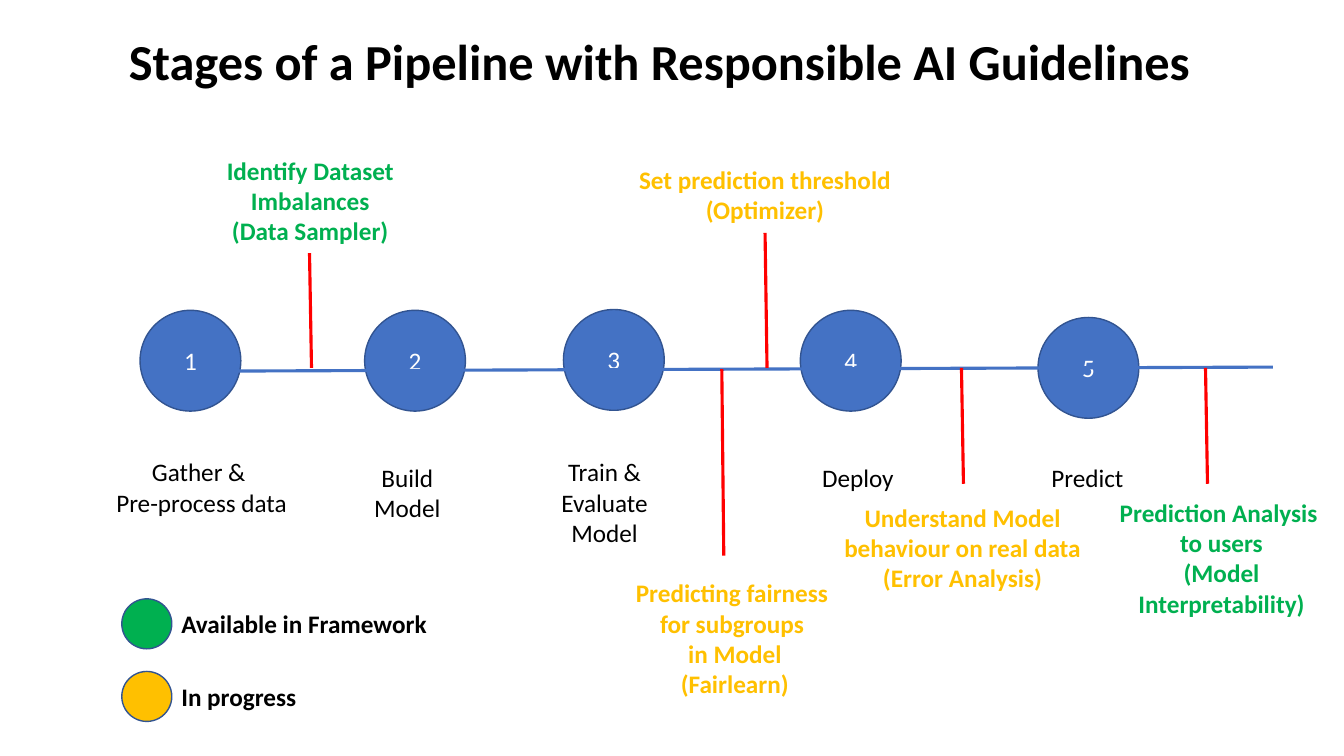
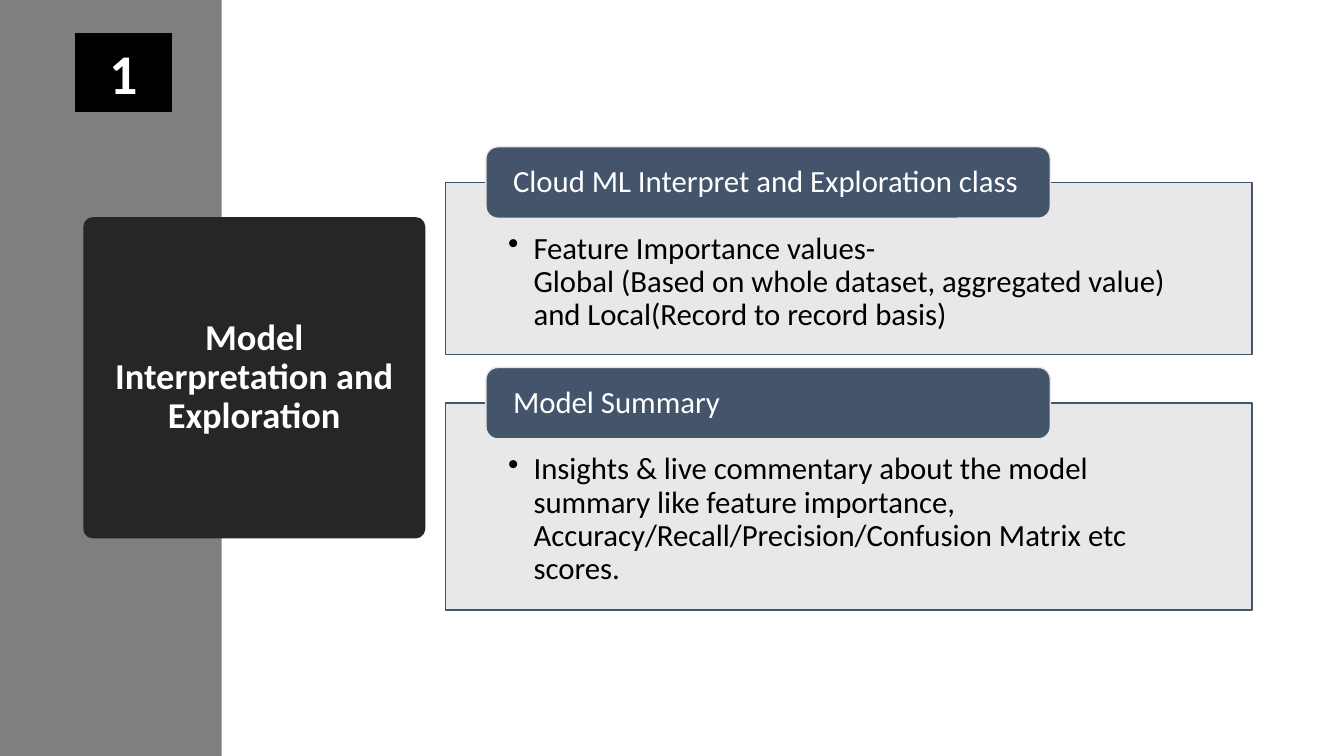
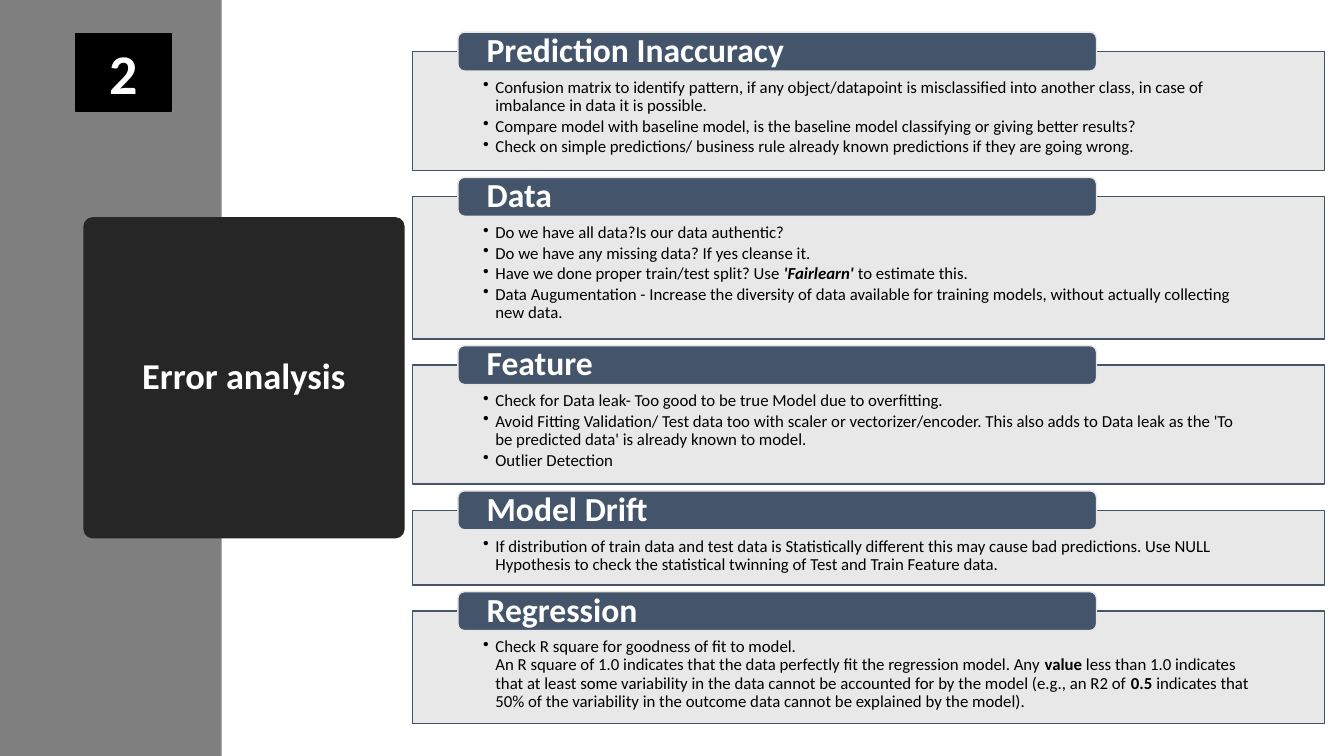
from pptx import Presentation
from pptx.dml.color import RGBColor
from pptx.enum.shapes import MSO_CONNECTOR, MSO_SHAPE
from pptx.enum.text import MSO_ANCHOR, PP_ALIGN
from pptx.oxml.ns import qn
from pptx.oxml.xmlchemy import OxmlElement
from pptx.util import Cm, Pt

RECT, ROUND, OVAL = MSO_SHAPE.RECTANGLE, MSO_SHAPE.ROUNDED_RECTANGLE, MSO_SHAPE.OVAL
STRAIGHT = MSO_CONNECTOR.STRAIGHT
LEFT, CENTER = PP_ALIGN.LEFT, PP_ALIGN.CENTER
TOP, MIDDLE = MSO_ANCHOR.TOP, MSO_ANCHOR.MIDDLE

# Lengths are centimetres
FONT = "Calibri"
SLIDE_W, SLIDE_H = 33.87, 19.05
BLACK, WHITE, RED = "000000", "FFFFFF", "FF0000"
BLUE, BLUE_EDGE = "4472C4", "325491"
GREEN, AMBER = "00B050", "FFC000"
GRAY, CHARCOAL, SLATE, PALE = "7F7F7F", "262626", "44546A", "E7E6E6"
INSETS = (0.25, 0.13, 0.25, 0.13)

PIPELINE_TITLE = "Stages of a Pipeline with Responsible AI Guidelines"
CIRCLE = 2.54
# circle left, circle top, caption, caption left, top, width
STAGES = [
    (3.53, 7.82, "Gather & \nPre-process data", 1.27, 11.38, 7.62),
    (9.19, 7.82, "Build Model", 8.46, 11.51, 3.61),
    (14.2, 7.8, "Train & Evaluate Model", 13, 11.38, 4.47),
    (20.17, 7.82, "Deploy", 19.84, 11.51, 3.56),
    (26.16, 8, "Predict", 25.45, 11.51, 3.91),
]
AXIS = (5.89, 9.35, 32.08, 9.25)
# note, colour, note left, top, width, marker x, marker top, marker bottom
GUIDELINES = [
    ("Identify Dataset Imbalances\n(Data Sampler)", GREEN, 4.01, 3.78, 7.62, 7.8, 6.38, 9.27),
    ("Set prediction threshold\n(Optimizer)", AMBER, 15.47, 4.01, 7.62, 19.28, 5.87, 9.27),
    ("Predicting fairness \nfor subgroups \nin Model\n(Fairlearn)", AMBER,
     14.71, 14.43, 7.62, 18.19, 9.3, 14),
    ("Understand Model behaviour on real data\n(Error Analysis)", AMBER,
     20.45, 12.52, 7.62, 24.23, 9.27, 12.19),
    ("Prediction Analysis \nto users\n(Model Interpretability)", GREEN,
     27.71, 12.4, 6.15, 30.38, 9.27, 12.19),
]
LEGEND = [("Available in Framework", GREEN), ("In progress", AMBER)]
LEGEND_TOP, LEGEND_STEP = 15.09, 1.83

# A panel is heading, height and bullets; a bullet is text or a list of (text, style)
TOPICS = [
    dict(
        number="1", title="Model Interpretation and Exploration", title_width=8.62,
        left=11.23, top=4.6, width=20.32, gap=1.22, tab_height=1.8,
        tab_size=22, tab_bold=False, size=22, indent=0.64,
        panels=[
            ("Cloud ML Interpret and Exploration class", 4.34, [
                "Feature Importance values-\nGlobal (Based on whole dataset, aggregated value) "
                "and Local(Record to record basis)"]),
            ("Model Summary", 5.21, [
                "Insights & live commentary about the model summary like feature importance, "
                "Accuracy/Recall/Precision/Confusion Matrix etc scores."]),
        ]),
    dict(
        number="2", title="Error analysis", title_width=8.1,
        left=10.39, top=1.3, width=22.99, gap=0.66, tab_height=0.98,
        tab_size=24, tab_bold=True, size=12, indent=0.31,
        panels=[
            ("Prediction Inaccuracy", 3, [
                "Confusion matrix to identify pattern, if any object/datapoint is misclassified "
                "into another class, in case of imbalance in data it is possible.",
                "Compare model with baseline model, is the baseline model classifying or giving "
                "better results?",
                "Check on simple predictions/ business rule already known predictions if they "
                "are going wrong."]),
            ("Data", 3.58, [
                "Do we have all data?Is our data authentic?",
                "Do we have any missing data? If yes cleanse it.",
                [("Have we done proper train/test split? Use ", ""), ("'Fairlearn' ", "bi"),
                 ("to estimate this.", "")],
                "Data Augumentation - Increase the diversity of data available for training "
                "models, without actually collecting new data."]),
            ("Feature", 3, [
                "Check for Data leak- Too good to be true Model due to overfitting.",
                "Avoid Fitting Validation/ Test data too with scaler or vectorizer/encoder. This "
                "also adds to Data leak as the 'To be predicted data' is already known to model.",
                "Outlier Detection"]),
            ("Model Drift", 1.88, [
                "If distribution of train data and test data is Statistically different this may "
                "cause bad predictions. Use NULL Hypothesis to check the statistical twinning of "
                "Test and Train Feature data."]),
            ("Regression", 2.84, [
                [("Check R square for goodness of fit to model.\nAn R square of 1.0 indicates "
                  "that the data perfectly fit the regression model. Any ", ""),
                 ("value", "b"),
                 (" less than 1.0 indicates that at least some variability in the data cannot be "
                  "accounted for by the model (e.g., an R2 of ", ""),
                 ("0.5", "b"),
                 (" indicates that 50% of the variability in the outcome data cannot be explained "
                  "by the model).", "")]]),
        ]),
]


def rgb(color):
    return RGBColor.from_string(color)


def add_bullet(para, indent):
    props = para._p.get_or_add_pPr()
    props.set("marL", str(Cm(indent)))
    props.set("indent", str(-Cm(indent)))
    bullet = OxmlElement("a:buChar")
    bullet.set("char", "•")
    props.append(bullet)


def write(box, paras, size=18, color=BLACK, bold=False, align=CENTER, anchor=MIDDLE,
          insets=INSETS, spacing=1.0, after=0, indent=None):
    """Fill a shape with paragraphs; an indent makes them bullets."""
    frame = box.text_frame
    frame.word_wrap = True
    frame.vertical_anchor = anchor
    (frame.margin_left, frame.margin_top,
     frame.margin_right, frame.margin_bottom) = map(Cm, insets)
    for index, content in enumerate(paras):
        para = frame.add_paragraph() if index else frame.paragraphs[0]
        if indent:
            add_bullet(para, indent)
        para.alignment = align
        para.line_spacing = spacing
        para.space_after = Pt(after)
        for text, style in [(content, "")] if isinstance(content, str) else content:
            for line_index, line in enumerate(text.split("\n")):
                if line_index:
                    para.add_line_break()
                span = para.add_run()
                span.text = line
                span.font.name = FONT
                span.font.size = Pt(size)
                span.font.color.rgb = rgb(color)
                span.font.bold = bold or "b" in style
                span.font.italic = "i" in style


def add_box(page, kind, left, top, width, height, fill, line=None, opacity=None):
    box = page.shapes.add_shape(kind, Cm(left), Cm(top), Cm(width), Cm(height))
    box.shadow.inherit = False
    box.fill.solid()
    box.fill.fore_color.rgb = rgb(fill)
    if opacity:
        alpha = OxmlElement("a:alpha")
        alpha.set("val", str(opacity * 1000))
        next(box.fill._xPr.iter(qn("a:srgbClr"))).append(alpha)
    if line:
        box.line.color.rgb = rgb(line)
        box.line.width = Pt(1)
    else:
        box.line.fill.background()
    return box


def add_label(page, text, left, top, width, height=1, **style):
    box = page.shapes.add_textbox(Cm(left), Cm(top), Cm(width), Cm(height))
    write(box, [text], anchor=TOP, **style)


def add_line(page, x1, y1, x2, y2, color):
    line = page.shapes.add_connector(STRAIGHT, Cm(x1), Cm(y1), Cm(x2), Cm(y2))
    line.line.color.rgb = rgb(color)
    line.line.width = Pt(2.25)
    line._element.spPr.append(OxmlElement("a:effectLst"))


def build_pipeline(page):
    for number, (left, top, *_) in enumerate(STAGES, 1):
        circle = add_box(page, OVAL, left, top, CIRCLE, CIRCLE, BLUE, BLUE_EDGE)
        write(circle, [str(number)], color=WHITE)
    add_line(page, *AXIS, BLUE)
    for _, _, caption, left, top, width in STAGES:
        add_label(page, caption, left, top, width, 1 + caption.count(" ") * 0.77)
    for note, color, left, top, width, x, start, end in GUIDELINES:
        add_line(page, x, start, x + 0.05, end, RED)
        add_label(page, note, left, top, width, 2.56, color=color, bold=True)
    for row, (label, color) in enumerate(LEGEND):
        top = LEGEND_TOP + row * LEGEND_STEP
        add_label(page, label, 4.32, top + 0.12, 7.62, bold=True, align=LEFT)
        add_box(page, OVAL, 3.07, top, 1.26, 1.26, color, BLUE_EDGE)
    add_label(page, PIPELINE_TITLE, 1.57, 0.64, 30.12, 1.8, size=36, bold=True)


def add_panel(page, topic, top, heading, height, bullets):
    """Draw a bulleted panel with its heading tab across the top edge."""
    left, width, tab_height, size = (topic[key] for key in ("left", "width", "tab_height", "size"))
    side = width * 0.0776
    panel = add_box(page, RECT, left, top, width, height, PALE, SLATE, opacity=90)
    write(panel, bullets, size=size, align=LEFT, anchor=TOP, spacing=0.9, after=size * 0.15,
          insets=(side, tab_height * 0.7, side, size * 0.02), indent=topic["indent"])
    tab_width = width * 0.7
    tab = add_box(page, ROUND, left + width * 0.05, top - tab_height / 2,
                  tab_width, tab_height, SLATE, PALE)
    tab_side = tab_width * 0.042
    write(tab, [heading], size=topic["tab_size"], color=WHITE, bold=topic["tab_bold"],
          align=LEFT, spacing=0.9, insets=(tab_side, 0, tab_side, 0))


def build_topic(page, topic):
    add_box(page, RECT, 0, 0, 5.59, SLIDE_H, GRAY)
    title = add_box(page, ROUND, 2.1, 5.47, topic["title_width"], 8.1, CHARCOAL)
    title.adjustments[0] = 0.03
    write(title, [topic["title"]], size=26, color=WHITE, bold=True, spacing=0.9,
          insets=(0.49, 0.37, 0.49, 0.37))
    top = topic["top"]
    for heading, height, bullets in topic["panels"]:
        add_panel(page, topic, top, heading, height, bullets)
        top += height + topic["gap"]
    badge = add_box(page, RECT, 1.91, 0.84, 2.41, 1.96, BLACK, BLACK)
    write(badge, [topic["number"]], size=40, color=WHITE, bold=True)


def main():
    deck = Presentation()
    deck.slide_width, deck.slide_height = Cm(SLIDE_W), Cm(SLIDE_H)
    blank = deck.slide_layouts[6]
    build_pipeline(deck.slides.add_slide(blank))
    for topic in TOPICS:
        build_topic(deck.slides.add_slide(blank), topic)
    deck.save("out.pptx")


if __name__ == "__main__":
    main()
